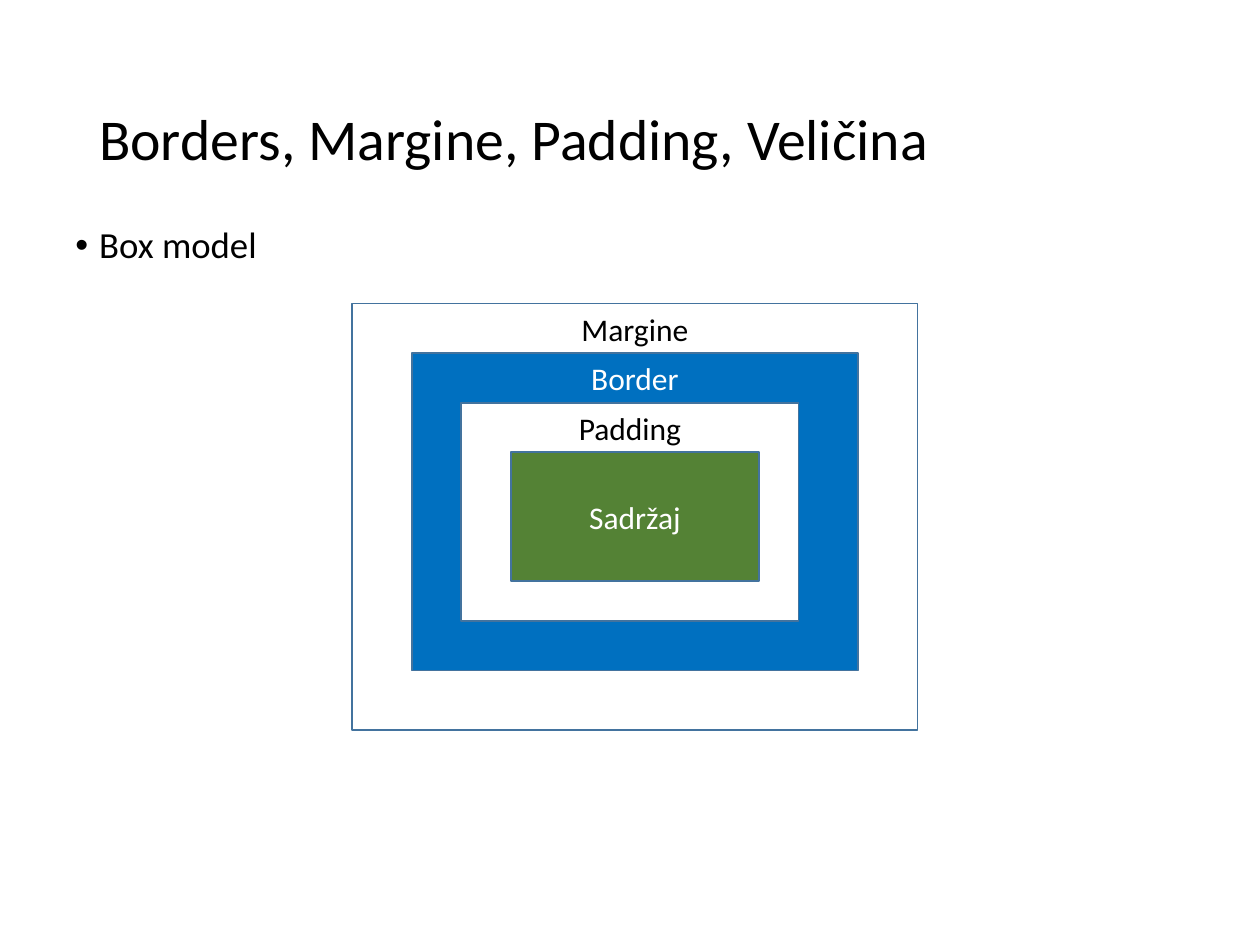
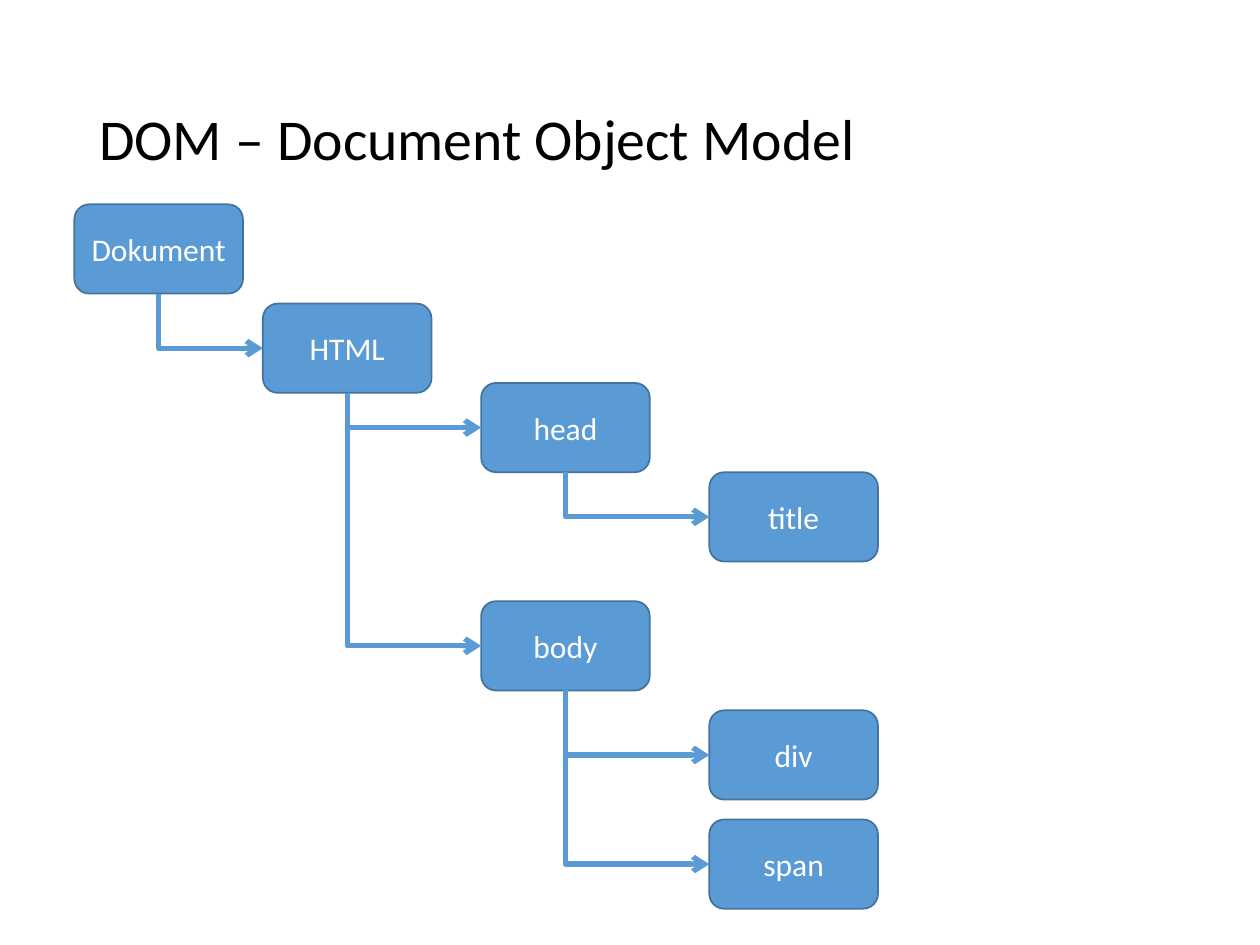
from dataclasses import dataclass

from lxml.etree import SubElement
from pptx import Presentation
from pptx.dml.color import RGBColor
from pptx.enum.shapes import MSO_CONNECTOR as Link, MSO_SHAPE as Shape
from pptx.enum.text import MSO_ANCHOR as Anchor, PP_ALIGN as Align
from pptx.oxml.ns import qn
from pptx.util import Cm, Pt


@dataclass(frozen=True)
class Theme:
    """Colours, font and type sizes of the deck."""
    font: str = "Calibri"
    black: str = "000000"
    white: str = "FFFFFF"
    outline: str = "43739E"
    node: str = "5B9BD5"
    border: str = "0070C0"
    content: str = "548235"
    title_size: int = 33
    body_size: int = 21
    label_size: int = 18


T = Theme()
NODE_W, NODE_H = 3.4, 1.8
BOTTOM, LEFT = 2, 1


def rgb(color):
    """Turn a hex string into a colour."""
    return RGBColor.from_string(color)


def write(sp, text, size, color, align=Align.LEFT, anchor=Anchor.TOP):
    """Put one styled run into a shape and return its paragraph."""
    tf = sp.text_frame
    tf.word_wrap = True
    tf.vertical_anchor = anchor
    p = tf.paragraphs[0]
    p.alignment = align
    r = p.add_run()
    r.text = text
    r.font.name = T.font
    r.font.size = Pt(size)
    r.font.color.rgb = rgb(color)
    return p


def add_text(s, box, text, size, anchor=Anchor.TOP):
    """Add a text box with tight line spacing."""
    sp = s.shapes.add_textbox(*map(Cm, box))
    p = write(sp, text, size, T.black, anchor=anchor)
    p.line_spacing = 0.9
    return p


def add_slide(prs, title):
    """Add a blank slide with its title."""
    s = prs.slides.add_slide(prs.slide_layouts[6])
    add_text(s, (1.75, 1.02, 21.9, 3.68), title, T.title_size, Anchor.MIDDLE)
    return s


def add_bullet(s, box, text):
    """Add a text box with one bulleted paragraph."""
    p = add_text(s, box, text, T.body_size)
    p.space_before = Pt(7.5)
    pPr = p._p.get_or_add_pPr()
    pPr.set("marL", str(Cm(0.48)))
    pPr.set("indent", str(Cm(-0.48)))
    SubElement(pPr, qn("a:buFont"), typeface="Arial")
    SubElement(pPr, qn("a:buChar"), char="•")


def add_box(s, kind, box, text, fill, color=T.white, anchor=Anchor.MIDDLE):
    """Add an outlined shape with a centred label."""
    sp = s.shapes.add_shape(kind, *map(Cm, box))
    sp.shadow.inherit = False
    sp.fill.solid()
    sp.fill.fore_color.rgb = rgb(fill)
    sp.line.color.rgb = rgb(T.outline)
    sp.line.width = Pt(1)
    write(sp, text, T.label_size, color, Align.CENTER, anchor)
    return sp


def add_branch(s, parent, child):
    """Add an arrow that drops from the parent and turns into the child."""
    x1, y1 = parent.left + parent.width // 2, parent.top + parent.height
    x2, y2 = child.left, child.top + child.height // 2
    c = s.shapes.add_connector(Link.ELBOW, x1, y1, x2, y2)
    c.begin_connect(parent, BOTTOM)
    c.end_connect(child, LEFT)
    c.line.color.rgb = rgb(T.node)
    c.line.width = Pt(3)
    spPr = c._element.spPr
    spPr.find(qn("a:prstGeom")).set("prst", "bentConnector2")
    w, h = y2 - y1, x2 - x1
    c.left, c.top = (x1 + x2 - w) // 2, (y1 + y2 - h) // 2
    c.width, c.height = w, h
    xfrm = spPr.find(qn("a:xfrm"))
    xfrm.set("rot", str(270 * 60000))
    xfrm.set("flipH", "1")
    SubElement(spPr.find(qn("a:ln")), qn("a:tailEnd"), type="arrow")
    SubElement(spPr, qn("a:effectLst"))


def build_box_model(prs):
    """Build the slide with the nested boxes."""
    s = add_slide(prs, "Borders, Margine, Padding, Veličina")
    add_bullet(s, (1.27, 4.45, 23.83, 14.6), "Box model")
    layers = [
        ("Margine", 7.1, 11.4, 8.6, T.white, T.black, Anchor.TOP),
        ("Border", 8.3, 9, 6.4, T.border, T.white, Anchor.TOP),
        ("Padding", 9.3, 6.8, 4.4, T.white, T.black, Anchor.TOP),
        ("Sadržaj", 10.3, 5, 2.6, T.content, T.white, Anchor.MIDDLE),
    ]
    for i, (text, x, w, h, fill, color, anchor) in enumerate(layers):
        add_box(s, Shape.RECTANGLE, (x, 6.12 + i, w, h), text, fill, color, anchor)


def build_dom(prs):
    """Build the slide with the document tree."""
    s = add_slide(prs, "DOM – Document Object Model")
    columns = (1.5, 5.3, 9.7, 14.3)
    tree = [
        ("Dokument", None, 0, 4.12),
        ("HTML", "Dokument", 1, 6.12),
        ("head", "HTML", 2, 7.72),
        ("body", "HTML", 2, 12.12),
        ("title", "head", 3, 9.52),
        ("div", "body", 3, 14.32),
        ("span", "body", 3, 16.52),
    ]
    nodes = {}
    for name, _, level, y in tree:
        box = (columns[level], y, NODE_W, NODE_H)
        nodes[name] = add_box(s, Shape.ROUNDED_RECTANGLE, box, name, T.node)
    for name, parent, _, _ in tree:
        if parent:
            add_branch(s, nodes[parent], nodes[name])


def main():
    """Build and save the deck."""
    prs = Presentation()
    prs.slide_width, prs.slide_height = Cm(25.4), Cm(19.05)
    build_box_model(prs)
    build_dom(prs)
    prs.save("out.pptx")


main()
